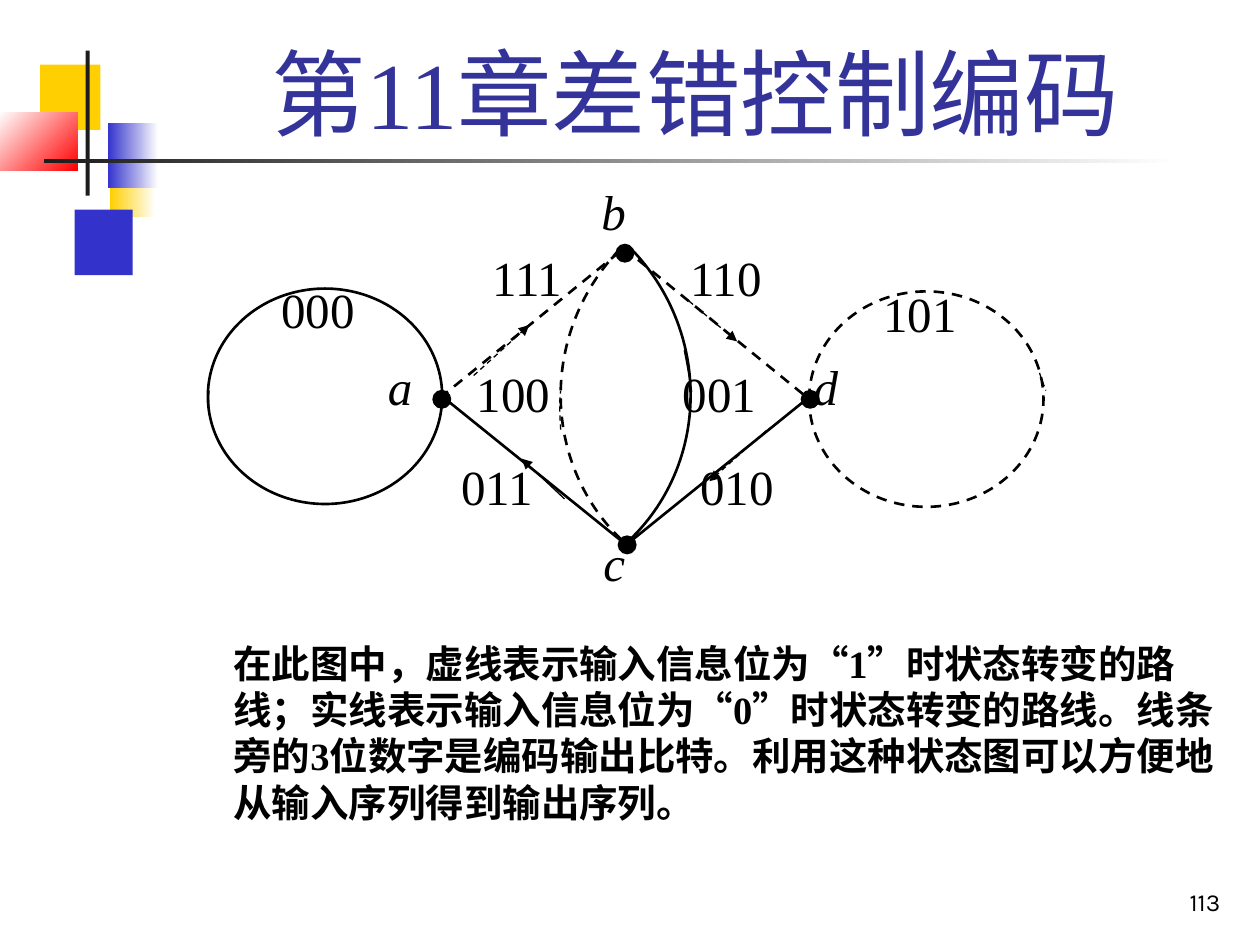
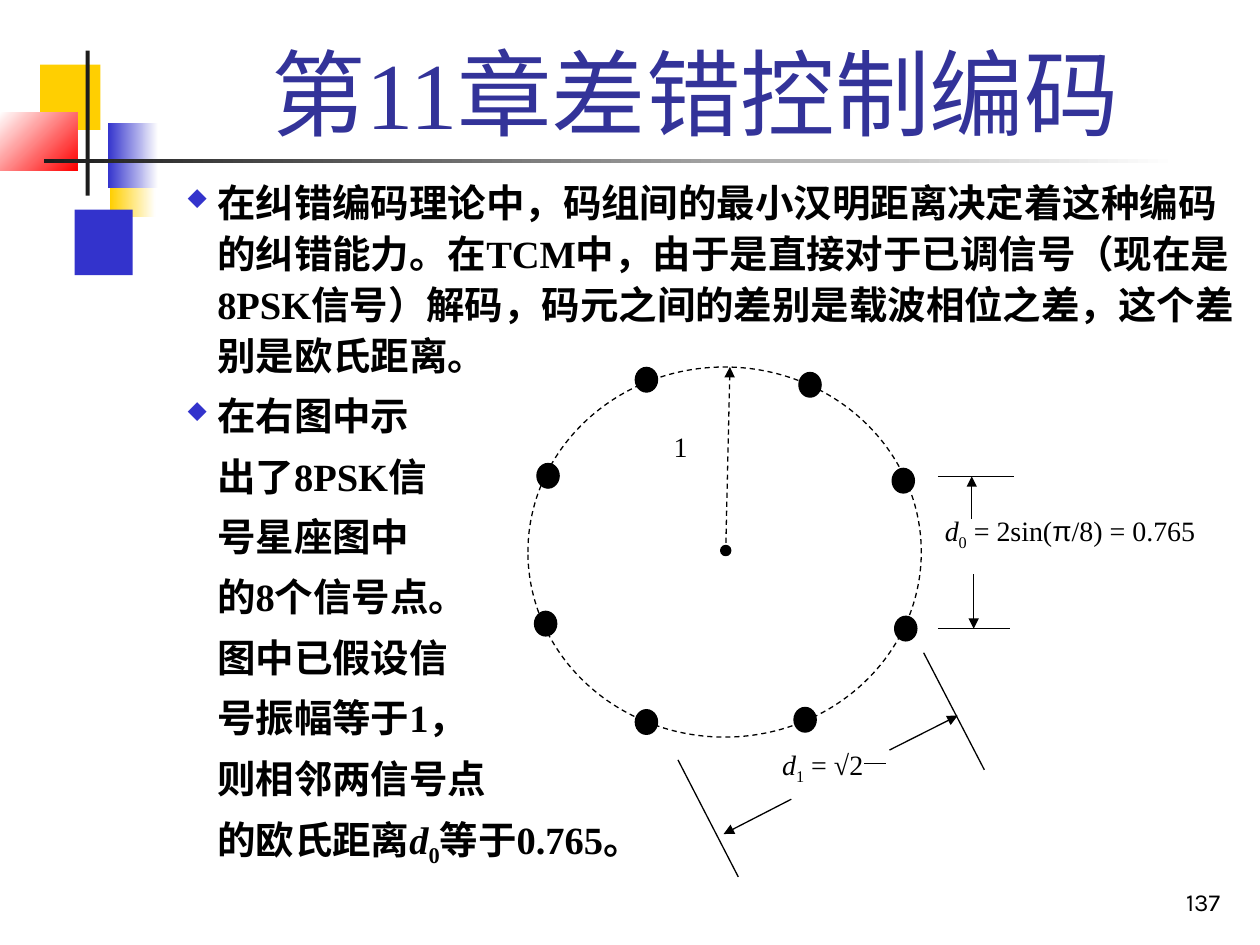
import pptx
import pptx.util
import pptx.dml.color
import pptx.enum.dml
import pptx.enum.shapes
import pptx.enum.text
import pptx.oxml.ns
from lxml import etree

Pt = pptx.util.Pt
SHAPE = pptx.enum.shapes.MSO_SHAPE
ALIGN = pptx.enum.text.PP_ALIGN
ANCHOR = pptx.enum.text.MSO_ANCHOR
qn = pptx.oxml.ns.qn

BLACK, WHITE = "000000", "FFFFFF"
YELLOW, BLUE, RED, CHARCOAL, INDIGO = "FFCF01", "3333CC", "FF0000", "1C1C1C", "333399"
SERIF = "Times New Roman"
CHAPTER = "第11章差错控制编码"
VARIABLE = {"italic": True}
SUBSCRIPT = {"baseline": "-25000"}


def color(hex_string):
    return pptx.dml.color.RGBColor.from_string(hex_string)


class Deck:
    def __init__(self):
        self.prs = pptx.Presentation()
        self.prs.slide_width, self.prs.slide_height = Pt(720), Pt(540)
        self.slide = None

    def new_slide(self, number):
        self.slide = self.prs.slides.add_slide(self.prs.slide_layouts[5])
        self.band()
        self.text(554.6, 491.4, 149.8, 36, [number], 14, font="Karla",
                  align=ALIGN.RIGHT, anchor=ANCHOR.BOTTOM)
        title = self.slide.shapes.title
        title.left, title.top, title.width, title.height = Pt(90.7), Pt(16), Pt(613.4), Pt(72.7)
        self.fill_text(title.text_frame, [CHAPTER], 54, ink=INDIGO,
                       align=ALIGN.CENTER, anchor=ANCHOR.BOTTOM)

    def band(self):
        for box, fill, angle in [
            ((63, 86.6, 25.9, 37.4), (YELLOW, WHITE), 0),
            ((42.7, 119.8, 33.1, 37.4), BLUE, 0),
            ((23, 36.9, 34.4, 37.4), YELLOW, 0),
            ((61.7, 70.3, 28.8, 37.2), (BLUE, WHITE), 0),
            ((0, 64.1, 44.3, 33.5), (WHITE, RED), 315),
            ((49, 29, 2.2, 82.8), CHARCOAL, 0),
            ((25.2, 90.9, 648, 2.2), (CHARCOAL, WHITE), 0),
        ]:
            self.shape(SHAPE.RECTANGLE, *box, fill, angle=angle)

    def shape(self, kind, left, top, width, height, fill=None, line=None, weight=0.75,
              dashed=False, angle=0):
        shape = self.slide.shapes.add_shape(kind, Pt(left), Pt(top), Pt(width), Pt(height))
        shape.shadow.inherit = False
        if fill is None:
            shape.fill.background()
        elif isinstance(fill, tuple):
            shape.fill.gradient()
            shape.fill.gradient_angle = angle
            for stop, shade in zip(shape.fill.gradient_stops, fill):
                stop.color.rgb = color(shade)
        else:
            shape.fill.solid()
            shape.fill.fore_color.rgb = color(fill)
        if line:
            self.stroke(shape.line, weight, dashed)
        else:
            shape.line.fill.background()

    def stroke(self, line, weight, dashed):
        line.color.rgb = color(BLACK)
        line.width = Pt(weight)
        if dashed:
            line.dash_style = pptx.enum.dml.MSO_LINE.DASH

    def dot(self, x, y, width, height):
        self.shape(SHAPE.OVAL, x - width / 2, y - height / 2, width, height, BLACK, BLACK)

    def line(self, start, end, weight=0.75, dashed=False, arrow=False):
        connector = self.slide.shapes.add_connector(
            pptx.enum.shapes.MSO_CONNECTOR.STRAIGHT, *map(Pt, start + end))
        self.stroke(connector.line, weight, dashed)
        if arrow:
            etree.SubElement(connector.line._get_or_add_ln(), qn("a:tailEnd"), type="triangle")
        etree.SubElement(connector._element.spPr, qn("a:effectLst"))

    def curve(self, points, weight=0.75, dashed=False, rotation=0):
        start, *rest = [(Pt(x), Pt(y)) for x, y in points]
        builder = self.slide.shapes.build_freeform(*start)
        builder.add_line_segments(rest, close=False)
        arc = builder.convert_to_shape()
        segments = list(arc._element.iter(qn("a:lnTo")))
        bezier = etree.SubElement(segments[0].getparent(), qn("a:cubicBezTo"))
        for segment in segments:
            bezier.append(segment[0])
            segment.getparent().remove(segment)
        arc.rotation = rotation
        arc.shadow.inherit = False
        arc.fill.background()
        self.stroke(arc.line, weight, dashed)

    def text(self, left, top, width, height, paragraphs, size, **style):
        box = self.slide.shapes.add_textbox(Pt(left), Pt(top), Pt(width), Pt(height))
        self.fill_text(box.text_frame, paragraphs, size, **style)

    def fill_text(self, frame, paragraphs, size, font=SERIF, ink=BLACK, bold=False,
                  italic=False, align=ALIGN.LEFT, anchor=ANCHOR.TOP, spacing=None,
                  before=0, margin=0, bulleted=()):
        frame.word_wrap = True
        frame.auto_size = pptx.enum.text.MSO_AUTO_SIZE.NONE
        frame.vertical_anchor = anchor
        for index, content in enumerate(paragraphs):
            paragraph = frame.add_paragraph() if index else frame.paragraphs[0]
            paragraph.alignment = align
            paragraph._p.get_or_add_pPr().set("hangingPunct", "0")
            if spacing:
                paragraph.line_spacing = spacing
            if before and index:
                paragraph.space_before = Pt(before)
            if margin:
                self.indent(paragraph, margin, index in bulleted)
            paragraph.font.size = Pt(size)
            paragraph.font.name = font
            paragraph.font.bold = bold
            paragraph.font.italic = italic
            paragraph.font.color.rgb = color(ink)
            for piece, change in [(content, {})] if isinstance(content, str) else content:
                run = paragraph.add_run()
                run.text = piece
                if "italic" in change:
                    run.font.italic = change["italic"]
                if "font" in change:
                    run.font.name = change["font"]
                if "baseline" in change:
                    run._r.get_or_add_rPr().set("baseline", change["baseline"])

    def indent(self, paragraph, margin, bullet):
        properties = paragraph._p.get_or_add_pPr()
        properties.set("marL", str(Pt(margin)))
        properties.set("indent", str(-Pt(margin) if bullet else 0))
        if bullet:
            tint = etree.SubElement(properties, qn("a:buClr"))
            etree.SubElement(tint, qn("a:srgbClr"), val=BLUE)
            etree.SubElement(properties, qn("a:buSzPct"), val="60000")
            etree.SubElement(properties, qn("a:buFont"), typeface="Wingdings", charset="2")
            etree.SubElement(properties, qn("a:buChar"), char="u")


def state_diagram(deck):
    deck.new_slide("113")
    deck.text(126.4, 362.2, 587.6, 130, [
        "在此图中，虚线表示输入信息位为“1”时状态转变的路线；实线表示输入信息位为“0”时状态转变的路线。"
        "线条旁的3位数字是编码输出比特。利用这种状态图可以方便地从输入序列得到输出序列。",
    ], 22, bold=True)

    for left, top, dashed in [(118.8, 164.9, False), (462.4, 166.5, True)]:
        deck.shape(SHAPE.OVAL, left, top, 133.9, 123.1, WHITE, BLACK, 1.5, dashed)

    for start, end, dashed in [
        ((251.3, 227.5), (355.7, 142.6), True),
        ((251.3, 225.4), (355.7, 309.6), False),
        ((356.4, 141.8), (460.8, 226.8), True),
        ((356.4, 312.5), (460.8, 228.2), False),
    ]:
        deck.line(start, end, 1.5, dashed)

    top, bottom, bend = 167, 282.9, 0.55
    for near, far, rotation, dashed in [(301, 419.8, 45.7, False), (414, 295.2, 314.3, True)]:
        quarter = [(near, top), (near + bend * (far - near), top),
                   (far, bottom - bend * (bottom - top)), (far, bottom)]
        deck.curve(quarter, 1.5, dashed, rotation)

    for start, end, dashed in [
        ((270.7, 214.6), (302.4, 185.8), True),
        ((437.8, 246.2), (405.4, 275), True),
        ((322.6, 285.1), (298.1, 262.1), False),
        ((393.8, 172.1), (421.2, 195.1), True),
    ]:
        deck.line(start, end, dashed=dashed, arrow=True)

    for points, dashed in [
        (((320.4, 245.5), (319.7, 236.2), (319.7, 227.5), (320.4, 223.2)), True),
        (((391, 200.2), (393.1, 210.2), (394.6, 220.3), (395.3, 223.9)), False),
        (((119.5, 236.9), (119.2, 231.1), (119.2, 225.4), (119.5, 223.2)), False),
        (((594, 213.1), (595.4, 217.4), (596.9, 221), (597.6, 223.2)), True),
    ]:
        deck.curve(points, dashed=dashed)

    for x, y in [(463, 228.2), (252.5, 228.2), (357.1, 144.7), (358.4, 311.4)]:
        deck.dot(x, y, 10.1, 10.1)

    for state, left, top in [("a", 214.6, 200.2), ("b", 336.6, 100.3),
                             ("c", 337.7, 300.6), ("d", 457.9, 200.2)]:
        deck.text(left, top, 53.3, 47.5, [state], 28, italic=True)

    for bits, left, top in [
        ("000", 153.7, 156.2), ("111", 274.3, 137.9), ("101", 497.8, 158.4), ("110", 387.4, 137.9),
        ("010", 393.1, 257.4), ("011", 256.6, 257.4), ("100", 265.3, 204.2), ("001", 383, 204.2),
    ]:
        deck.text(left, top, 65.5, 47.5, [bits], 28)


def constellation(deck):
    deck.new_slide("137")
    deck.text(99.1, 96.3, 614.9, 443.5, [
        "在纠错编码理论中，码组间的最小汉明距离决定着这种编码的纠错能力。在TCM中，由于是直接对于已调信号"
        "（现在是8PSK信号）解码，码元之间的差别是载波相位之差，这个差别是欧氏距离。",
        "在右图中示",
        "出了8PSK信",
        "号星座图中",
        "的8个信号点。",
        "图中已假设信",
        "号振幅等于1，",
        "则相邻两信号点",
        [("的欧氏距离", {}), ("d", VARIABLE), ("0", SUBSCRIPT), ("等于0.765。", {})],
    ], 22, bold=True, spacing=1.1, before=5.5, margin=18, bulleted=(0, 1))

    deck.shape(SHAPE.OVAL, 301.7, 209.7, 224.8, 211.5, None, BLACK, dashed=True)
    deck.dot(414.7, 314.6, 5.8, 5.8)
    deck.line((414.7, 315.4), (417.1, 209.7), dashed=True, arrow=True)
    for x, y in [(369.4, 412.6), (369.4, 217), (313.2, 271.9), (311.8, 356.4),
                 (460.1, 411.3), (517.6, 359.2), (516.2, 274.7), (462.9, 219.9)]:
        deck.dot(x, y, 12.7, 14.1)

    for start, end in [
        ((536, 272.3), (579.6, 272.3)),
        ((536, 359), (577, 359)),
        ((387.4, 434.2), (421.9, 501.1)),
        ((527.8, 373), (562.5, 439.9)),
        ((493.9, 436.5), (506.2, 436.5)),
    ]:
        deck.line(start, end)

    for start, end in [
        ((556.4, 328.3), (556.4, 359.3)),
        ((555.3, 296.6), (555.3, 272.2)),
        ((508.3, 428.6), (547.2, 409)),
        ((452.2, 456.7), (413.5, 476.6)),
    ]:
        deck.line(start, end, arrow=True)

    deck.text(377.8, 241.9, 49.7, 46.8, ["1"], 16)
    deck.text(532.8, 289.9, 187.2, 46.8, [[
        ("d", VARIABLE), ("0", SUBSCRIPT), (" = 2sin(", {}), ("π", {"font": "Arial"}),
        ("/8) = 0.765", {}),
    ]], 16)
    deck.text(439.9, 423.4, 86.4, 37.4, [[("d", VARIABLE), ("1", SUBSCRIPT), (" = √2", {})]], 16)


def main():
    deck = Deck()
    state_diagram(deck)
    constellation(deck)
    deck.prs.save("out.pptx")


if __name__ == "__main__":
    main()
